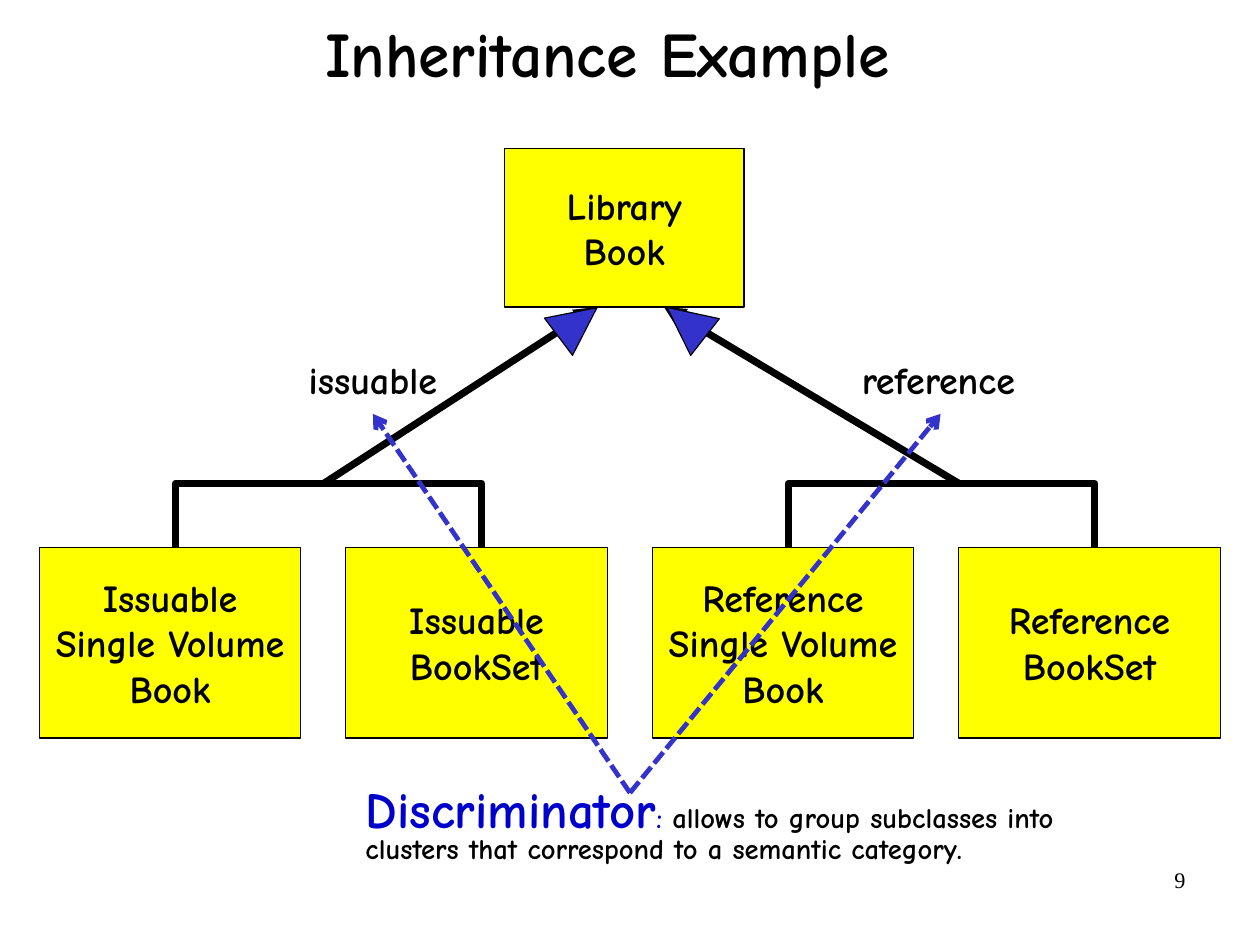
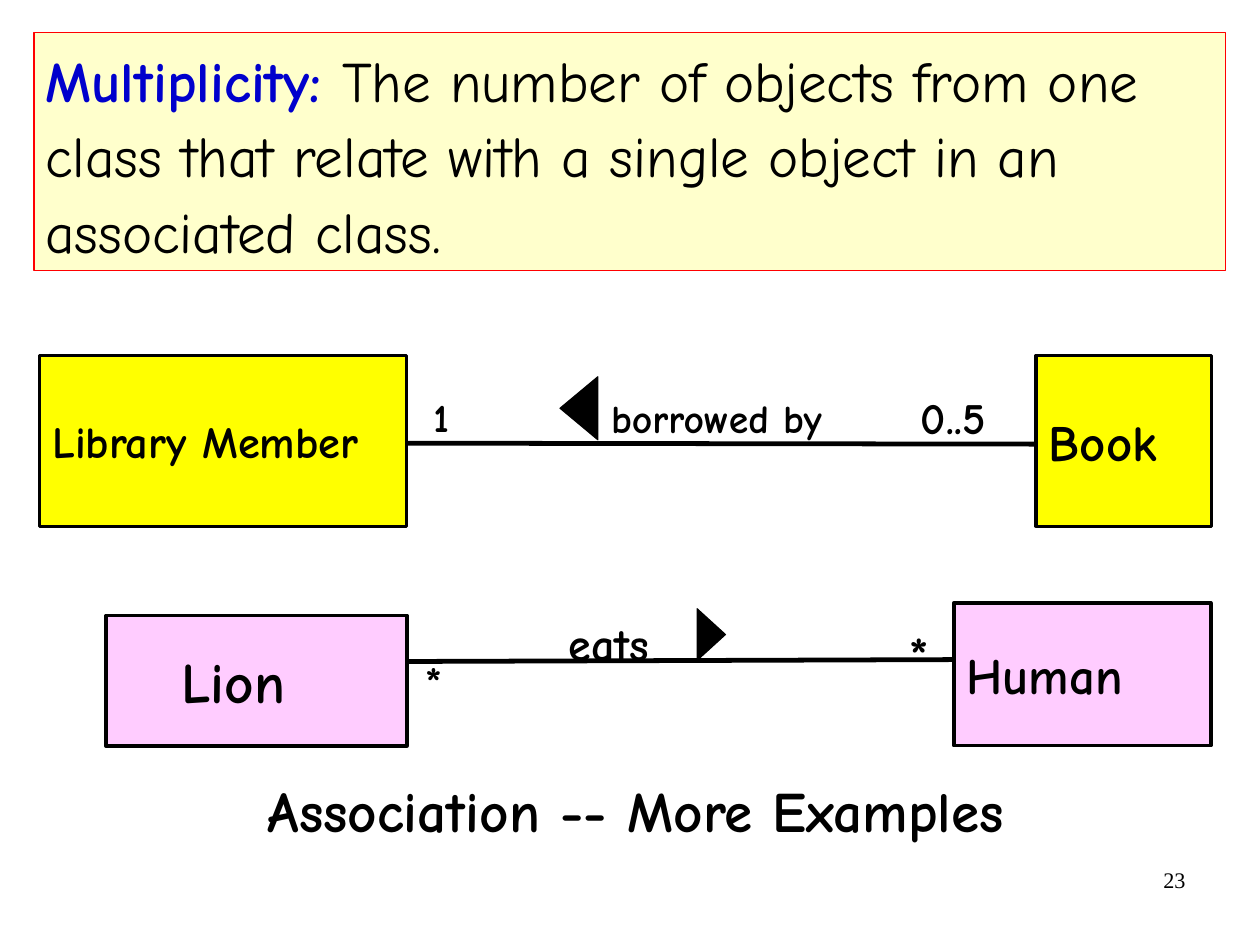
import pptx
import pptx.util
import pptx.dml.color
import pptx.enum.dml
import pptx.enum.shapes
import pptx.enum.text
import lxml.etree
from dataclasses import dataclass


@dataclass(frozen=True)
class Theme:
    font: str = "Comic Neue"
    serif: str = "Times New Roman"
    ink: str = "000000"
    key: str = "0000CC"
    arrow: str = "3333CC"
    yellow: str = "FFFF00"
    pink: str = "FFCCFF"
    cream: str = "FFFFCC"
    red: str = "FF0000"
    page: int = 14
    note: int = 18
    body: int = 24
    label: int = 25
    name: int = 28
    verb: int = 29
    large: int = 32
    head: int = 36
    title: int = 40
    drop: int = 48


theme = Theme()
Pt = pptx.util.Pt
rgb = pptx.dml.color.RGBColor.from_string
kinds = pptx.enum.shapes.MSO_SHAPE
align = pptx.enum.text.PP_ALIGN
anchor = pptx.enum.text.MSO_ANCHOR
dashes = pptx.enum.dml.MSO_LINE

deck = pptx.Presentation()
deck.slide_width = Pt(793.75)
deck.slide_height = Pt(595.25)
# The grid has 100 columns and 100 rows.
col = deck.slide_width / 100
row = deck.slide_height / 100


def box(slide, at, text="", size=theme.body, fill=None, edge=theme.ink, width=0.75,
        kind=kinds.RECTANGLE, side=align.LEFT, hold=anchor.TOP, pad=(0, 0),
        space=1.0, font=theme.font, bold=True):
    """Add a filled shape, or a plain text box when there is no fill."""
    left, top, wide, high = at
    place = [int(n) for n in (left * col, top * row, wide * col, high * row)]
    if fill:
        item = slide.shapes.add_shape(kind, *place)
        item.shadow.inherit = False
        item.fill.solid()
        item.fill.fore_color.rgb = rgb(fill)
        item.line.color.rgb = rgb(edge)
        item.line.width = Pt(width)
    else:
        item = slide.shapes.add_textbox(*place)
    frame = item.text_frame
    frame.word_wrap = True
    frame.vertical_anchor = hold
    frame.margin_left = frame.margin_right = int(pad[0] * col)
    frame.margin_top = frame.margin_bottom = int(pad[1] * row)
    frame.text = text
    for para in frame.paragraphs:
        para.alignment = side
        para.line_spacing = space
        for run in para.runs:
            run.font.name = font
            run.font.size = Pt(size)
            run.font.bold = bold
            run.font.color.rgb = rgb(theme.ink)
    return item


def line(slide, start, end, width, color=theme.ink, dash=None, tip=None):
    item = slide.shapes.add_connector(
        pptx.enum.shapes.MSO_CONNECTOR.STRAIGHT,
        int(start[0] * col), int(start[1] * row), int(end[0] * col), int(end[1] * row))
    item.line.color.rgb = rgb(color)
    item.line.width = Pt(width)
    if dash:
        item.line.dash_style = dash
    props = item._element.spPr
    space = "{http://schemas.openxmlformats.org/drawingml/2006/main}"
    if tip:
        lxml.etree.SubElement(props.find(space + "ln"), space + "tailEnd", type=tip)
    lxml.etree.SubElement(props, space + "effectLst")


pages = []
for title, size, at, page in (
        ("Inheritance Example", theme.title, (5.7, -2.4, 85, 16.6), "9"),
        ("Association -- More Examples", theme.head, (3.95, 75.15, 93, 21.9), "23")):
    slide = deck.slides.add_slide(deck.slide_layouts[6])
    box(slide, (71.7, 91.05, 23.3, 6.9), page, theme.page, side=align.RIGHT,
        pad=(0.9, 0.6), font=theme.serif, bold=False)
    box(slide, at, title, size, side=align.CENTER, hold=anchor.MIDDLE,
        pad=(0.2, 0.7), space=0.94)
    pages.append(slide)
tree, links = pages

# Class tree: one parent, four children in equal steps
first, step, base, bar = 3.13, 24.32, 57.9, 51.15
cells = [((40.05, 15.7, 19, 16.8), "Library\nBook")]
for i, name in enumerate(("Issuable\nSingle Volume\nBook", "Issuable\nBookSet",
                          "Reference\nSingle Volume\nBook", "Reference\nBookSet")):
    cells.append(((first + i * step, base, 20.75, 20.2), name))
for at, name in cells:
    box(tree, at, name, fill=theme.yellow, side=align.CENTER, hold=anchor.MIDDLE)

for i, stem, top in ((0, 25.7, 47.3), (2, 76.1, 52.7)):
    left = first + i * step + 10.8
    right = left + step
    fork = tree.shapes.build_freeform(int(left * col), int(base * row))
    fork.add_line_segments(
        [(int(x * col), int(y * row)) for x, y in ((left, bar), (right, bar), (right, base))],
        close=False)
    fork = fork.convert_to_shape()
    fork.shadow.inherit = False
    fork.fill.background()
    fork.line.color.rgb = rgb(theme.ink)
    fork.line.width = Pt(4.5)
    line(tree, (stem, bar), (top, 32.5), 4.5, tip="triangle")

for left, name, tip, peak, turn in ((24.5, "issuable", 29.6, 44, 53),
                                    (68.4, "reference", 74.65, 52.6, 308)):
    box(tree, (left, 37.7, 16, 4.8), name)
    line(tree, (50, 83.9), (tip, 43.8), 3, theme.arrow, dashes.SQUARE_DOT, "arrow")
    mark = box(tree, (peak, 31.55, 3.7, 5.1), fill=theme.arrow, kind=kinds.ISOSCELES_TRIANGLE)
    mark.rotation = turn

note = box(tree, (29, 83.85, 62, 7.4),
           "Discriminator\nclusters that correspond to a semantic category.",
           theme.note, hold=anchor.MIDDLE, space=0.8)

# Associations: two pairs of classes
rule = box(links, (2.7, 3.45, 94.6, 25.2), "Multiplicity: ", theme.head, theme.cream,
           theme.red, pad=(0.9, 0.6), space=1.1)

for item, size, more in (
        (note, theme.large, ((": ", theme.note, theme.key, True),
                             ("allows to group subclasses into", theme.note, theme.ink, True))),
        (rule, theme.head, (("The number of objects from one class that relate with a "
                             "single object in an associated class.",
                             theme.head, theme.ink, False),))):
    para = item.text_frame.paragraphs[0]
    para.runs[0].font.size = Pt(size)
    para.runs[0].font.color.rgb = rgb(theme.key)
    for words, size, color, bold in more:
        run = para.add_run()
        run.text = words
        run.font.name = theme.font
        run.font.size = Pt(size)
        run.font.bold = bold
        run.font.color.rgb = rgb(color)

for at, name, size, fill, inset in (
        ((3.15, 37.6, 29.1, 18.1), "Library Member", theme.name, theme.yellow, 1),
        ((82.25, 37.6, 13.9, 18.1), "Book", theme.large, theme.yellow, 1),
        ((8.4, 65.15, 23.9, 13.8), "Lion", theme.head, theme.pink, 6),
        ((75.7, 63.8, 20.4, 15.1), "Human", theme.large, theme.pink, 1)):
    box(links, at, name, size, fill, width=2.25, hold=anchor.MIDDLE, pad=(inset, 0.7))

line(links, (32.3, 46.9), (82.25, 47), 3)
line(links, (32.3, 70), (75.7, 69.8), 3)

for at, turn in (((43.45, 41.2, 5, 4), 270), ((54.4, 65.65, 4.1, 3), 90)):
    mark = box(links, at, fill=theme.ink, kind=kinds.ISOSCELES_TRIANGLE)
    mark.rotation = turn

for left, top, wide, high, name, size in (
        (34.4, 41.6, 3, 5.1, "1", theme.label),
        (73.1, 35.9, 8, 11, "0..5", theme.drop),
        (48.5, 41.65, 21.5, 5.1, "borrowed by", theme.label),
        (72.2, 65.85, 3, 6.4, "*", theme.large),
        (33.75, 63.8, 3, 11, "*", theme.drop),
        (45.15, 65.15, 9, 5.8, "eats", theme.verb)):
    label = box(links, (left, top, wide, high), name, size)
    if size == theme.drop:
        run = label.text_frame.paragraphs[0].runs[0]
        run._r.get_or_add_rPr().set("baseline", "-25000")

deck.save("out.pptx")
